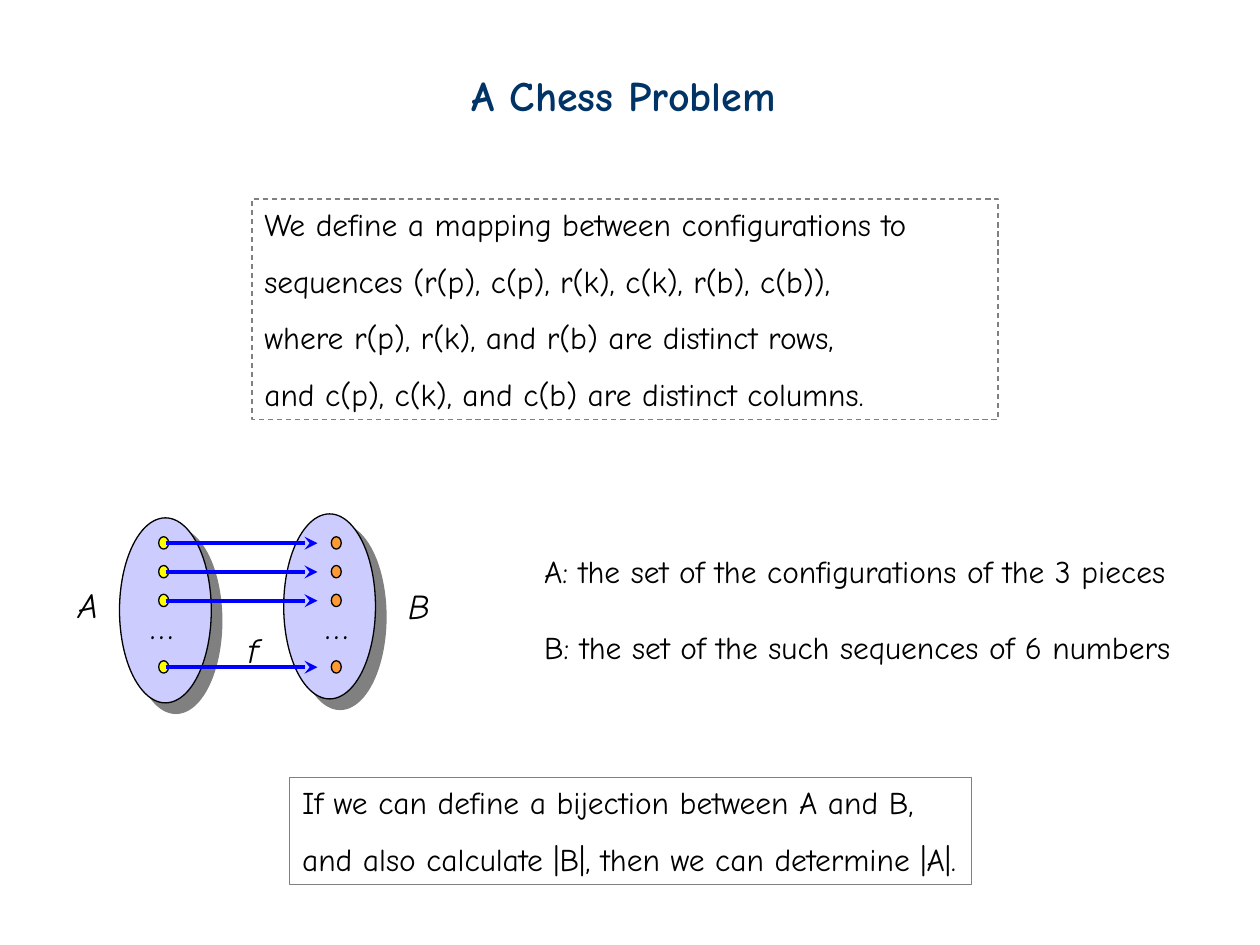
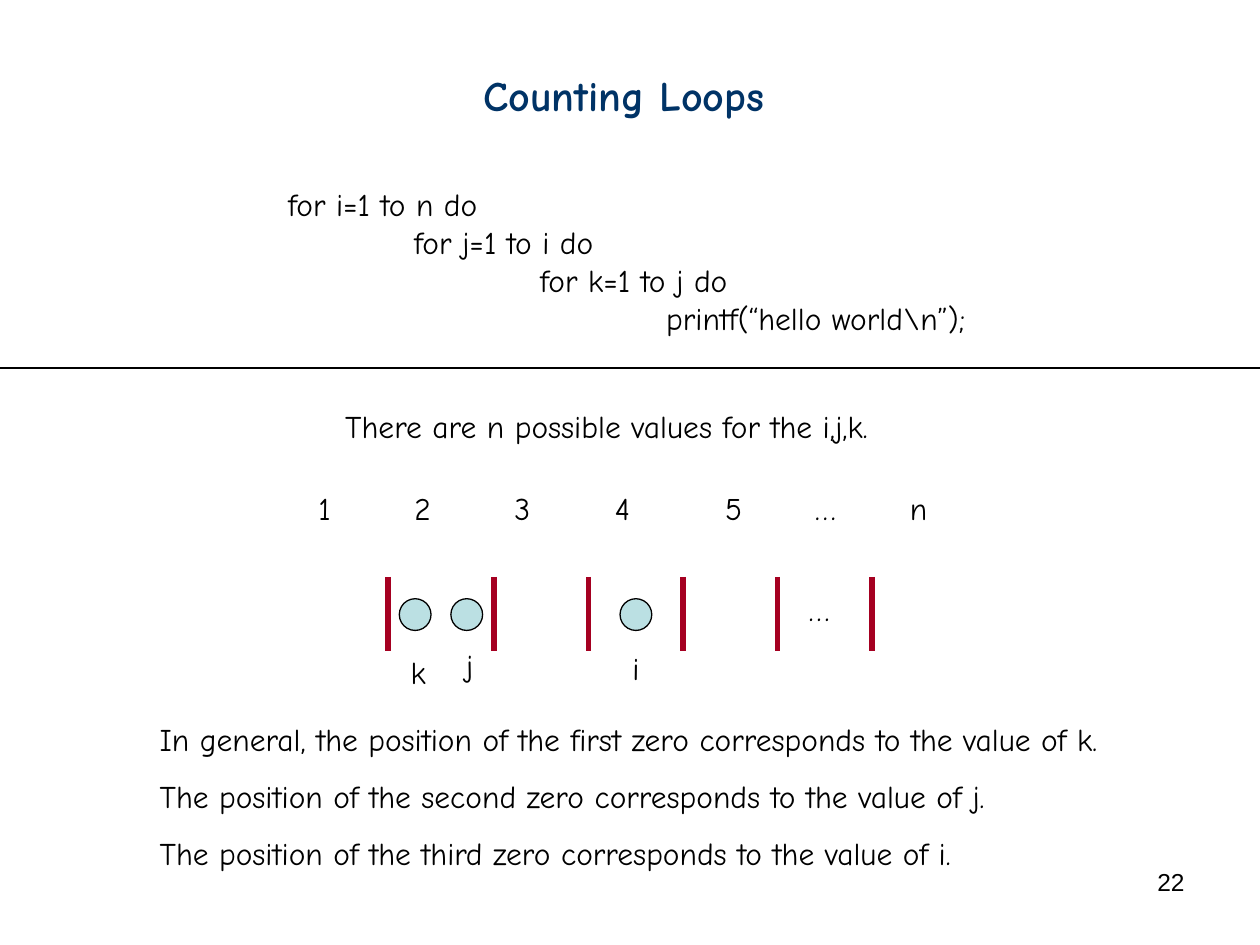
from lxml import etree
from pptx import Presentation
from pptx import util as u
from pptx.dml.color import RGBColor
from pptx.enum import dml, shapes, text
from pptx.oxml.ns import qn

BLACK, GRAY, NAVY, BLUE = "000000", "808080", "003366", "0000FF"
LAVENDER, YELLOW, ORANGE = "CCCCFF", "FFFF00", "FF9933"
CRIMSON, PALE_TEAL = "A50021", "BBE0E3"
LEFT, CENTER, RIGHT = text.PP_ALIGN.LEFT, text.PP_ALIGN.CENTER, text.PP_ALIGN.RIGHT


def color(value):
    return RGBColor.from_string(value)


class Deck:
    """Holds the shared style and the slide being filled; lengths are in centimetres."""

    font = "Comic Neue"
    body_size = 18

    def __init__(self):
        self.presentation = Presentation()
        self.presentation.slide_width = u.Cm(25.4)
        self.presentation.slide_height = u.Cm(19.05)
        self.slide = None

    def new_slide(self, title):
        self.slide = self.presentation.slides.add_slide(self.presentation.slide_layouts[6])
        self.text(9.25, 1.27, 6.65, 1.27, [title], size=24, fill=NAVY, bold=True, align=CENTER)

    def text(self, left, top, width, height, lines, size=body_size, fill=BLACK, bold=False,
             italic=False, align=LEFT, font=font, spacing=None, gap=None, tabs=(), wrap=False):
        """Spacing and gap (points) apply to every line after the first; tabs are (position, kind)."""
        box = self.slide.shapes.add_textbox(*map(u.Cm, (left, top, width, height)))
        frame = box.text_frame
        frame.text = "\n".join(lines)
        frame.word_wrap = wrap
        frame.auto_size = text.MSO_AUTO_SIZE.SHAPE_TO_FIT_TEXT
        for index, paragraph in enumerate(frame.paragraphs):
            if tabs:
                self.tab_stops(paragraph, tabs)
            paragraph.alignment = align
            if index and spacing:
                paragraph.line_spacing = spacing
            if index and gap:
                paragraph.space_before = u.Pt(gap)
            for run in paragraph.runs:
                run.font.name, run.font.size = font, u.Pt(size)
                run.font.bold, run.font.italic = bold, italic
                run.font.color.rgb = color(fill)
        return box

    def tab_stops(self, paragraph, tabs):
        tab_list = etree.SubElement(paragraph._p.get_or_add_pPr(), qn("a:tabLst"))
        for position, kind in tabs:
            etree.SubElement(tab_list, qn("a:tab"), pos=str(u.Cm(position)), algn=kind)

    def framed_text(self, left, top, width, height, lines, dashed=False, wrap=False):
        box = self.text(left, top, width, height, lines, spacing=1.5, wrap=wrap)
        self.outline(box.line, GRAY)
        if dashed:
            box.line.dash_style = dml.MSO_LINE.DASH

    def outline(self, line, stroke, width=0.75):
        line.color.rgb = color(stroke)
        line.width = u.Pt(width)

    def ellipse(self, left, top, width, height, fill, shadowed=False):
        shape = self.slide.shapes.add_shape(
            shapes.MSO_SHAPE.OVAL, *map(u.Cm, (left, top, width, height)))
        shape.fill.solid()
        shape.fill.fore_color.rgb = color(fill)
        self.outline(shape.line, BLACK)
        shape.shadow.inherit = False
        if shadowed:
            effects = shape._element.spPr.find(qn("a:effectLst"))
            shadow = etree.SubElement(effects, qn("a:outerShdw"), dist=str(u.Pt(8.5)),
                                      dir="2700000", algn="ctr", rotWithShape="0")
            etree.SubElement(shadow, qn("a:srgbClr"), val=GRAY)

    def line(self, x1, y1, x2, y2, stroke, width, arrow=False):
        connector = self.slide.shapes.add_connector(
            shapes.MSO_CONNECTOR.STRAIGHT, *map(u.Cm, (x1, y1, x2, y2)))
        self.outline(connector.line, stroke, width)
        if arrow:
            etree.SubElement(connector.line._get_or_add_ln(), qn("a:tailEnd"), type="stealth")
        etree.SubElement(connector._element.spPr, qn("a:effectLst"))

    def page_number(self, number):
        self.text(18.21, 17.35, 5.92, 1.32, [str(number)], size=14, font="Arial",
                  align=RIGHT, wrap=True)


def chess_problem(deck):
    deck.new_slide("A Chess Problem")
    deck.framed_text(5.08, 4.01, 15.04, 4.45, [
        "We define a mapping between configurations to",
        "sequences (r(p), c(p), r(k), c(k), r(b), c(b)),",
        "where r(p), r(k), and r(b) are distinct rows,",
        "and c(p), c(k), and c(b) are distinct columns.",
    ], dashed=True, wrap=True)

    for left, top in ((2.41, 10.44), (5.72, 10.36)):
        deck.ellipse(left, top, 1.85, 3.73, LAVENDER, shadowed=True)
    for label, left, top in (("A", 1.32, 11.63), ("B", 7.98, 11.66), ("f", 4.75, 12.55)):
        width = 0.71 if label == "f" else 0.92
        deck.text(left, top, width, 1.12, [label], size=20, italic=True)
    for left in (2.77, 6.3):
        deck.text(left, 12.07, 0.97, 1.12, ["…"], size=20, align=CENTER)
    for top in (10.82, 11.4, 11.98, 13.32):
        deck.ellipse(3.2, top, 0.2, 0.25, YELLOW)
        deck.ellipse(6.68, top, 0.2, 0.25, ORANGE)
        deck.line(3.34, top + 0.13, 6.4, top + 0.13, BLUE, 2.5, arrow=True)

    deck.text(10.72, 11, 13.13, 2.54, [
        "A: the set of the configurations of the 3 pieces",
        "B: the set of the such sequences of 6 numbers",
    ], gap=21.7)
    deck.framed_text(5.84, 15.67, 13.74, 2.16, [
        "If we can define a bijection between A and B,",
        "and also calculate |B|, then we can determine |A|.",
    ])


def counting_loops(deck):
    deck.new_slide("Counting Loops")
    deck.page_number(22)
    deck.text(5.56, 3.61, 14.17, 3.3, [
        "for i=1 to n do",
        "\tfor j=1 to i do",
        "\t\tfor k=1 to j do",
        "\t\t\tprintf(“hello world\\n”);",
    ], tabs=[(2.54 * level, "l") for level in (1, 2, 3)], wrap=True)
    deck.line(0, 7.42, 25.4, 7.42, BLACK, 0.75)
    deck.text(6.71, 8.08, 11.1, 1.02, ["There are n possible values for the i,j,k."])

    value_centers = (2.1, 4.11, 6.13, 8.37, 10.22, 12.1)
    deck.text(6.17, 9.73, 13.5, 1.02, ["1\t2\t3\t4\t5\t…\tn"],
              tabs=[(center, "ctr") for center in value_centers], wrap=True)

    for x in [7.82] + [9.96 + 1.905 * step for step in range(5)]:
        deck.line(x, 11.63, x, 13.13, CRIMSON, 3)
    deck.text(16.05, 11.76, 0.91, 1.02, ["…"])
    for left in (8.05, 9.09, 12.5):
        deck.ellipse(left, 12.07, 0.64, 0.64, PALE_TEAL)
    for label, left, top, width in (("k", 8.03, 13.03, 0.81), ("j", 9.14, 12.9, 0.66),
                                    ("i", 12.5, 12.95, 0.64)):
        deck.text(left, top, width, 1.02, [label])

    deck.text(2.97, 14.4, 19.51, 3.3, [
        "In general, the position of the first zero corresponds to the value of k.",
        "The position of the second zero corresponds to the value of j.",
        "The position of the third zero corresponds to the value of i.",
    ], spacing=1.5)


def main():
    deck = Deck()
    chess_problem(deck)
    counting_loops(deck)
    deck.presentation.save("out.pptx")


if __name__ == "__main__":
    main()
